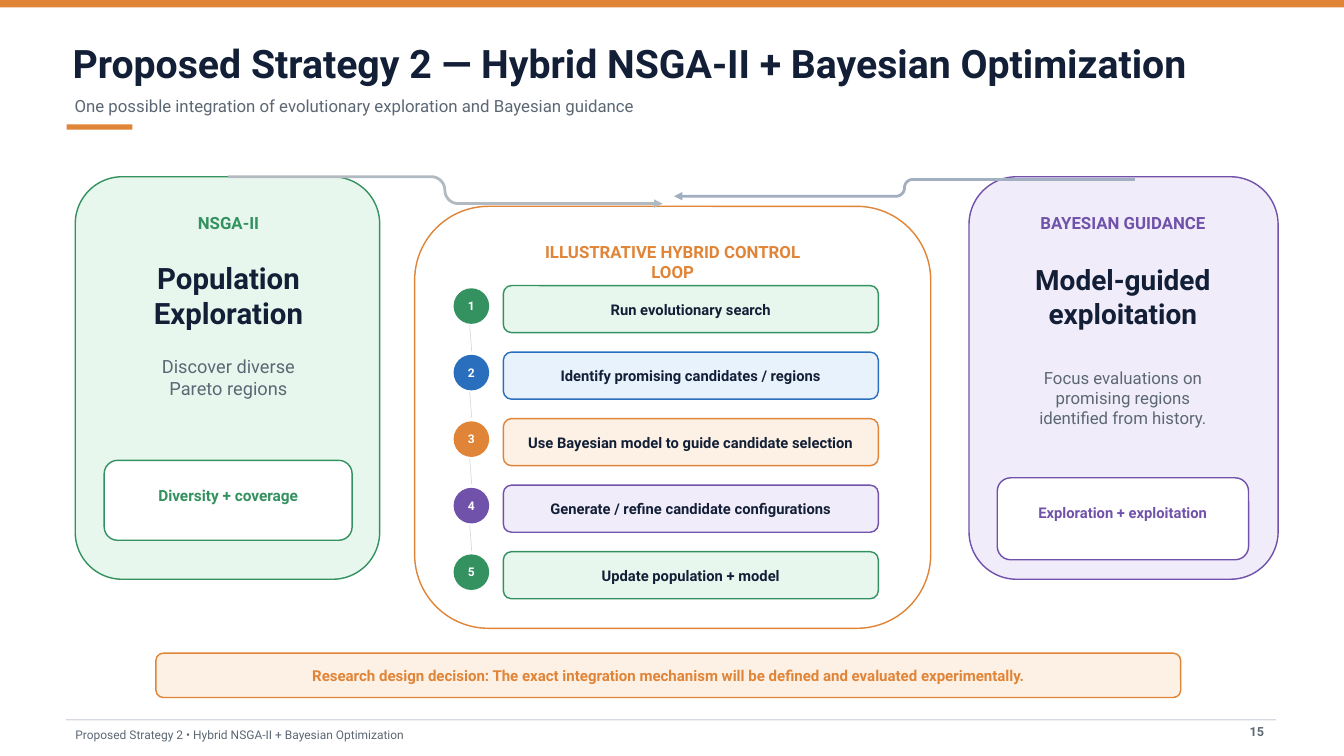
from math import cos, radians, sin

from lxml import etree
from pptx import Presentation
from pptx.dml.color import RGBColor
from pptx.enum.shapes import MSO_CONNECTOR, MSO_SHAPE
from pptx.enum.text import MSO_ANCHOR, MSO_AUTO_SIZE, PP_ALIGN
from pptx.oxml.ns import qn
from pptx.util import Pt

PX = 9144  # 100 px to the inch
FONT = "Roboto"
RECT, ROUND, OVAL = MSO_SHAPE.RECTANGLE, MSO_SHAPE.ROUNDED_RECTANGLE, MSO_SHAPE.OVAL
LEFT, MID, RIGHT = PP_ALIGN.LEFT, PP_ALIGN.CENTER, PP_ALIGN.RIGHT
TOP, CENTRE = MSO_ANCHOR.TOP, MSO_ANCHOR.MIDDLE
COLORS = {
    "navy": "121F36", "gray": "5C6774", "rule": "D5DAE0", "white": "FFFFFF",
    "green": "349160", "blue": "2A6FBE", "orange": "E08437", "purple": "7052AB",
    "mint": "E8F7EE", "sky": "E8F2FD", "peach": "FDF1E5", "lilac": "F1ECFA",
    "ash": "B1BAC0", "steel": "A1AFC1",
}
RGB = {name: RGBColor.from_string(code) for name, code in COLORS.items()}

prs = Presentation()
prs.slide_width, prs.slide_height = 2000 * PX, 1125 * PX
slide = prs.slides.add_slide(prs.slide_layouts[0])
shapes = slide.shapes


def write(shape, text, size, color, bold=True, align=MID, anchor=TOP, inset=0):
    """Fill a shape with text, one paragraph per line, inset px from its top."""
    frame = shape.text_frame
    frame.text = text
    frame.word_wrap = True
    frame.auto_size = MSO_AUTO_SIZE.NONE
    frame.vertical_anchor = anchor
    frame.margin_left = frame.margin_right = frame.margin_bottom = 0
    frame.margin_top = inset * PX
    for para in frame.paragraphs:
        para.alignment = align
        para.line_spacing = Pt(round(size * 1.2, 1))
        para.space_before = Pt(0)
        for run in para.runs:
            run.font.name, run.font.size, run.font.bold = FONT, Pt(size), bold
            run.font.color.rgb = RGB[color]


def draw(kind, box, fill, edge=None, radius=0):
    shape = shapes.add_shape(kind, *[n * PX for n in box])
    shape.shadow.inherit = False
    shape.fill.solid()
    shape.fill.fore_color.rgb = RGB[fill]
    if edge:
        shape.line.color.rgb = RGB[edge]
        shape.line.width = Pt(1.5)
    else:
        shape.line.fill.background()
    if radius:
        shape.adjustments[0] = radius / min(box[2:])
    return shape


# Heading
draw(RECT, (0, 0, 2000, 11), "orange")
draw(ROUND, (99, 185, 98, 8), "orange", radius=1)
heads = [
    (shapes.title, (108, 58, 1659, 70),
     "Proposed Strategy 2 — Hybrid NSGA-II + Bayesian Optimization", 42, "navy", True),
    (slide.placeholders[1], (111, 142, 1751, 29),
     "One possible integration of evolutionary exploration and Bayesian guidance",
     18, "gray", False),
]
for holder, box, text, size, color, bold in heads:
    holder.left, holder.top, holder.width, holder.height = [n * PX for n in box]
    write(holder, text, size, color, bold, LEFT)

# Panels
draw(ROUND, (112, 263, 453, 599), "mint", "green", 70)
draw(ROUND, (617, 307, 768, 628), "white", "orange", 110)
draw(ROUND, (1442, 263, 460, 599), "lilac", "purple", 71)
goal = draw(ROUND, (155, 685, 369, 119), "white", "green", 20)
write(goal, "Diversity + coverage", 16.5, "green", inset=32)
goal = draw(ROUND, (1484, 711, 374, 122), "white", "purple", 20)
write(goal, "Exploration + exploitation", 15.8, "purple", inset=33)

# Control loop
steps = [
    ("Run evolutionary search", "green", "mint"),
    ("Identify promising candidates / regions", "blue", "sky"),
    ("Use Bayesian model to guide candidate selection", "orange", "peach"),
    ("Generate / refine candidate configurations", "purple", "lilac"),
    ("Update population + model", "green", "mint"),
]
for i, (text, color, tint) in enumerate(steps):
    top = 425 + 99 * i
    badge = draw(OVAL, (675, top + 4, 53, 53), color)
    write(badge, str(i + 1), 12.8, "white", anchor=CENTRE)
    step = draw(ROUND, (749, top, 558, 70), tint, color, 12)
    write(step, text, 15.8, "navy", anchor=CENTRE)
    if i < len(steps) - 1:
        ends = [n * PX for n in (699, top + 59, 702, top + 98)]
        link = shapes.add_connector(MSO_CONNECTOR.STRAIGHT, *ends)
        link.line.color.rgb = RGB["rule"]
        link.line.width = Pt(0.75)
        etree.SubElement(link._element.spPr, qn("a:effectLst"))

# Decision banner and footer rule
note = draw(ROUND, (232, 972, 1525, 66), "peach", "orange", 11)
write(note, "Research design decision: The exact integration mechanism will be "
      "defined and evaluated experimentally.", 16.1, "orange", anchor=CENTRE)
draw(RECT, (98, 1070, 1801, 2), "rule")

# Free text
labels = [
    ((166, 316, 348, 32), "NSGA-II", 18, "green", True, MID),
    ((166, 387, 348, 105), "Population\nExploration", 31.5, "navy", True, MID),
    ((166, 529, 348, 73), "Discover diverse\nPareto regions", 19.5, "gray", False, MID),
    ((780, 359, 442, 60), "ILLUSTRATIVE HYBRID CONTROL LOOP", 18, "orange", True, MID),
    ((1495, 316, 352, 32), "BAYESIAN GUIDANCE", 18, "purple", True, MID),
    ((1495, 391, 352, 100), "Model-guided\nexploitation", 30, "navy", True, MID),
    ((1495, 547, 352, 103),
     "Focus evaluations on\npromising regions\nidentified from history.",
     18, "gray", False, MID),
    ((112, 1082, 1511, 21),
     "Proposed Strategy 2 • Hybrid NSGA-II + Bayesian Optimization",
     12.8, "gray", False, LEFT),
    ((1796, 1077, 85, 24), "15", 13.5, "gray", True, RIGHT),
]
for box, text, size, color, bold, align in labels:
    write(shapes.add_textbox(*[n * PX for n in box]), text, size, color, bold, align)

# Arrows into the loop: two quarter turns around a middle x
arrows = [
    ((339, 263), (986, 303), 662, "ash"),
    ((1689, 267), (1003, 292), 1346, "steel"),
]
for (x1, y1), (x2, y2), mid, color in arrows:
    r = (y2 - y1) / 2
    turn = r if x2 > x1 else -r
    arc = [radians(deg) for deg in range(0, 91, 10)]
    points = [(mid - turn + turn * sin(a), y1 + r - r * cos(a)) for a in arc]
    points += [(mid + turn - turn * cos(a), y2 - r + r * sin(a)) for a in arc]
    points.append((x2, y2))
    pen = shapes.build_freeform(x1 * PX, y1 * PX)
    pen.add_line_segments([(x * PX, y * PX) for x, y in points], close=False)
    arrow = pen.convert_to_shape()
    arrow.shadow.inherit = False
    arrow.fill.background()
    arrow.line.color.rgb = RGB[color]
    arrow.line.width = Pt(3)
    etree.SubElement(arrow.line._get_or_add_ln(), qn("a:tailEnd"), type="triangle")

prs.save("out.pptx")
